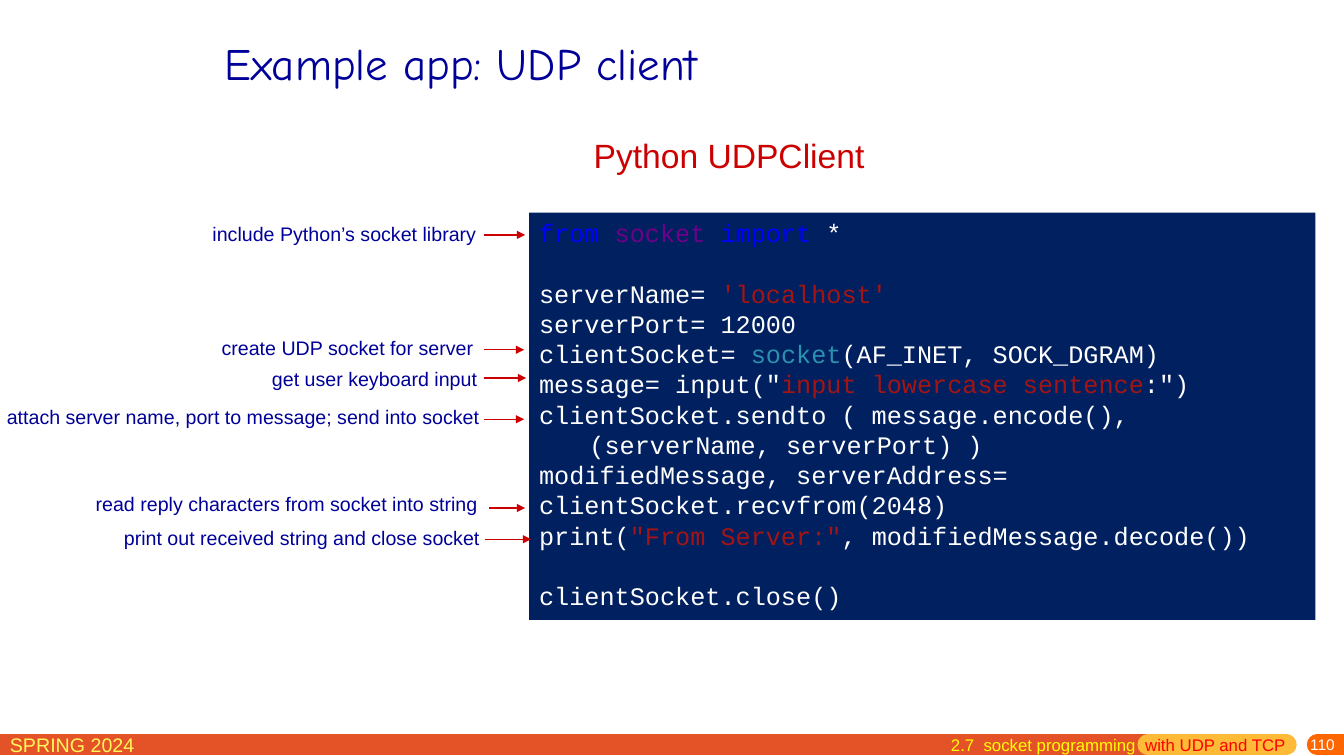
from lxml.etree import SubElement
from pptx import Presentation
from pptx.dml.color import RGBColor
from pptx.enum.shapes import MSO_CONNECTOR as Connector, MSO_SHAPE as Shape
from pptx.enum.text import MSO_ANCHOR as Anchor, PP_ALIGN as Align
from pptx.oxml.ns import qn
from pptx.util import Pt

WHITE = RGBColor(0xFF, 0xFF, 0xFF)
NAVY = RGBColor(0x00, 0x20, 0x60)
INK_BLUE = RGBColor(0x00, 0x00, 0x99)
CRIMSON = RGBColor(0xCC, 0x00, 0x00)
KEYWORD = RGBColor(0x00, 0x00, 0xFF)
MODULE = RGBColor(0x6F, 0x00, 0x8A)
STRING = RGBColor(0xA3, 0x15, 0x15)
CALL = RGBColor(0x2B, 0x91, 0xAF)
BAR_ORANGE = RGBColor(0xE4, 0x53, 0x27)
BAR_AMBER = RGBColor(0xFF, 0xBA, 0x37)
BAR_BRIGHT = RGBColor(0xFF, 0x66, 0x00)
PALE_YELLOW = RGBColor(0xFF, 0xF6, 0x5C)
YELLOW = RGBColor(0xFF, 0xFF, 0x00)
RED = RGBColor(0xFF, 0x00, 0x00)

CODE_LINE_HEIGHT = 21.6
BAR_Y = 532
BARS = [(0, 820, BAR_ORANGE), (820, 918.7, BAR_AMBER), (941, 960, BAR_BRIGHT)]

CODE_BLOCKS = [
    [
        [("from ", KEYWORD), ("socket ", MODULE), ("import ", KEYWORD), ("*", WHITE)],
    ],
    [
        [("serverName= ", WHITE), ("'localhost'", STRING)],
        [("serverPort= 12000", WHITE)],
        [("clientSocket= ", WHITE), ("socket", CALL), ("(AF_INET, SOCK_DGRAM)", WHITE)],
        [('message= input("', WHITE), ("input lowercase sentence", STRING), (':")', WHITE)],
        [("clientSocket.sendto ( message.encode(),", WHITE)],
        [("\t(serverName, serverPort) )", WHITE)],
        [("modifiedMessage, serverAddress= \tclientSocket.recvfrom(2048)", WHITE)],
        [("print(", WHITE), ('"From Server:"', STRING), (", modifiedMessage.decode())", WHITE)],
    ],
    [
        [("clientSocket.close()", WHITE)],
    ],
]

NOTES = [
    ("include Python’s socket library", (144.7, 154.8, 238), (345.6, 375.1, 167.8)),
    ("create UDP socket for server", (151.2, 236.2, 232), (345.6, 374.4, 249.8)),
    ("get user keyboard input", (187.2, 258.5, 232), (345.6, 375.8, 270)),
    ("attach server name, port to message; send into socket",
     (-2.2, 285.8, 371.5), (345.6, 374.4, 299.5)),
    ("print out received string and close socket", (81.4, 372.2, 290), (346.3, 379.4, 385.2)),
    ("read reply characters from socket into string", (61.2, 347.8, 322), (349.2, 375.1, 362.9)),
]


def write_runs(paragraph, runs, font_name, size):
    """Fill a paragraph with (text, colour) runs in one font."""
    for text, colour in runs:
        run = paragraph.add_run()
        run.text = text
        if len(runs) > 1:
            run.font.color.rgb = colour
    paragraph.font.name = font_name
    paragraph.font.size = Pt(size)
    if len(runs) == 1:
        paragraph.font.color.rgb = runs[0][1]


def add_text(slide, box, runs, size, font_name="Arial", anchor=Anchor.TOP, align=Align.LEFT):
    """Add a one-paragraph text box and return its frame."""
    frame = slide.shapes.add_textbox(*map(Pt, box)).text_frame
    frame.word_wrap = True
    frame.vertical_anchor = anchor
    frame.paragraphs[0].alignment = align
    write_runs(frame.paragraphs[0], runs, font_name, size)
    return frame


def add_rule(slide, start, end, y, colour, width):
    """Add a horizontal line and return its line element."""
    rule = slide.shapes.add_connector(Connector.STRAIGHT, Pt(start), Pt(y), Pt(end), Pt(y))
    rule.line.color.rgb = colour
    rule.line.width = Pt(width)
    SubElement(rule._element.spPr, qn("a:effectLst"))
    return rule.line._get_or_add_ln()


def add_footer(slide):
    """Add the rounded footer bars and their texts."""
    for start, end, colour in BARS:
        add_rule(slide, start, end, BAR_Y, colour, 15).set("cap", "rnd")
    add_text(slide, (0, 519.8, 165, 22), [("SPRING 2024", PALE_YELLOW)], 14)
    topic = [("2.7  socket programming  ", YELLOW), ("with UDP and TCP", RED)]
    add_text(slide, (672.2, 521.3, 258, 22), topic, 12)
    number = add_text(slide, (774, 527, 186.5, 13), [("110", WHITE)], 11,
                      anchor=Anchor.MIDDLE, align=Align.RIGHT)
    number.margin_top = 0


def add_code(slide):
    """Add the dark code panel with one paragraph per code line."""
    panel = slide.shapes.add_shape(Shape.RECTANGLE, Pt(378), Pt(151.9), Pt(561.6), Pt(290.9))
    panel.shadow.inherit = False
    panel.fill.solid()
    panel.fill.fore_color.rgb = NAVY
    panel.line.fill.background()
    frame = panel.text_frame
    frame.word_wrap = True
    frame.vertical_anchor = Anchor.TOP
    for block_index, block in enumerate(CODE_BLOCKS):
        for line_index, runs in enumerate(block):
            first = block_index == line_index == 0
            paragraph = frame.paragraphs[0] if first else frame.add_paragraph()
            paragraph.alignment = Align.LEFT
            if line_index == 0 and not first:
                paragraph.space_before = Pt(CODE_LINE_HEIGHT)
            write_runs(paragraph, runs, "Courier New", 18)


def add_note(slide, text, place, arrow):
    """Add a margin note and the arrow to its code line."""
    add_text(slide, (*place, 24), [(text, INK_BLUE)], 14)
    arrow_line = add_rule(slide, *arrow, CRIMSON, 1)
    SubElement(arrow_line, qn("a:tailEnd"), type="triangle")


def main():
    """Build the slide and save it."""
    deck = Presentation()
    deck.slide_width, deck.slide_height = Pt(960), Pt(540)
    slide = deck.slides.add_slide(deck.slide_layouts[6])
    add_footer(slide)
    add_text(slide, (153.4, 7.2, 612, 74.9), [("Example app: UDP client", INK_BLUE)], 32,
             "Comic Neue", Anchor.MIDDLE)
    add_text(slide, (417, 93, 216, 36.5), [("Python UDPClient", CRIMSON)], 24)
    add_code(slide)
    for note in NOTES:
        add_note(slide, *note)
    deck.save("out.pptx")


if __name__ == "__main__":
    main()
